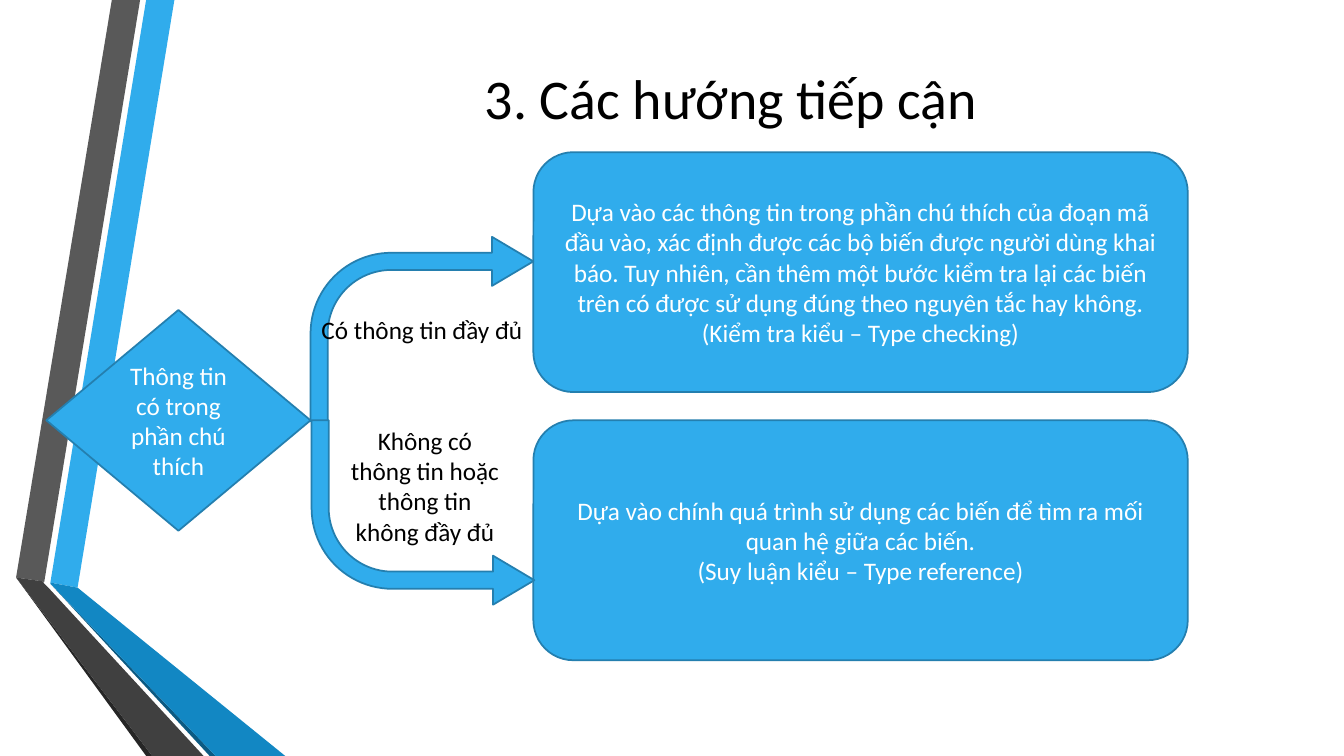
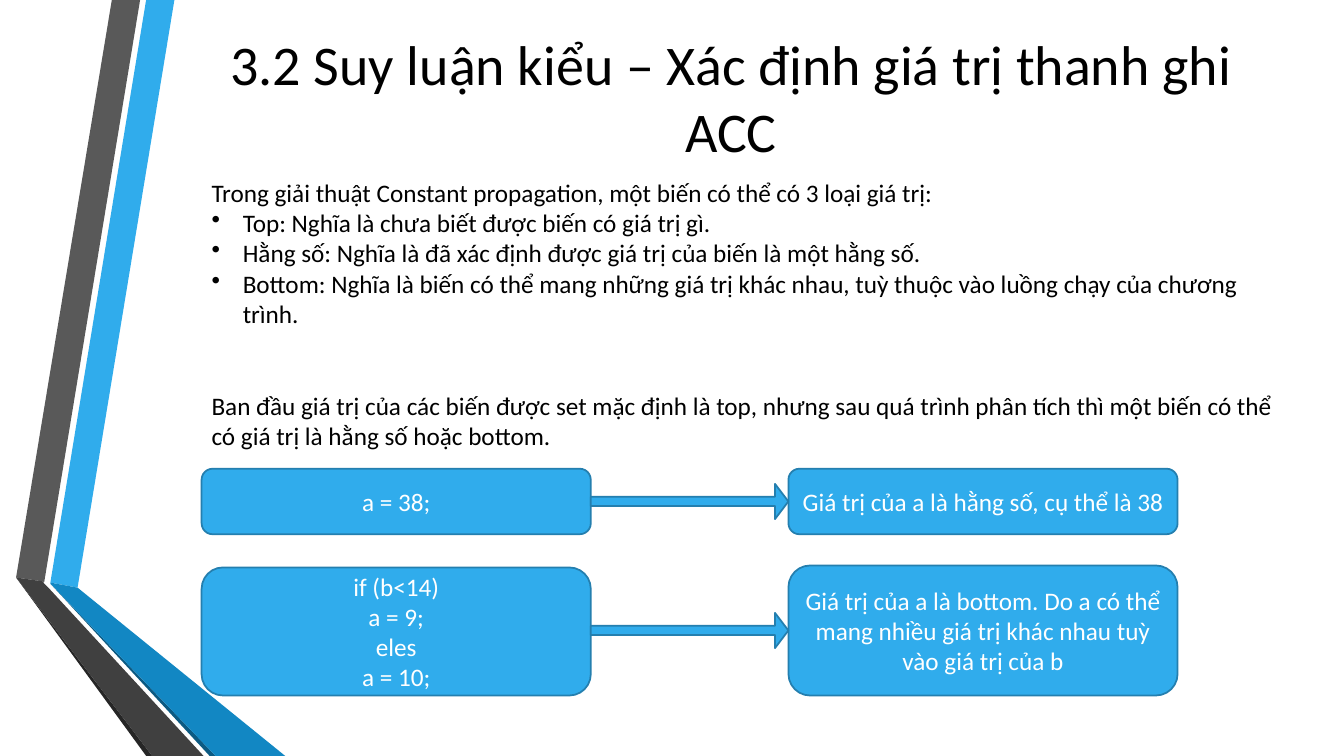
from pptx import Presentation
from pptx.dml.color import RGBColor
from pptx.enum import shapes, text
from pptx.oxml import ns, xmlchemy
from pptx.util import Inches, Pt

FONT = "Calibri"
BLUE, BLUE_EDGE, WHITE, BLACK = "30ACEC", "247FAF", "FFFFFF", "000000"
SHAPE = shapes.MSO_SHAPE
TITLE_BOX = (1.77, 0, 10.96, 1.92)
BENT_ARROW = (0.093, 0.133, 0.224, 0.438)
STRAIGHT_ARROW = (0.26, 0.38)
RIBBONS = [
    (BLUE, [(0.5, 5.78), (0.77, 5.83), (1.73, 0), (1.45, 0)]),
    ("595959", [(1.39, 0), (1.11, 0), (0.16, 5.73), (0.44, 5.77)]),
    ("262626", [(0.16, 5.73), (1.45, 7.5), (1.51, 7.5)]),
    ("0C5A82", [(0.5, 5.79), (2.08, 7.5), (2.14, 7.5)]),
    ("1287C3", [(0.5, 5.79), (2.14, 7.5), (2.83, 7.5), (0.77, 5.83), (0.5, 5.78)]),
    ("404040", [(2.02, 7.5), (0.48, 5.83), (0.43, 5.78), (0.44, 5.77), (0.16, 5.73), (1.51, 7.5)]),
]


def paint(color_format, value):
    """Set a colour from a hex string."""
    color_format.rgb = RGBColor.from_string(value)


def fill_shape(shape, color, edge=None):
    """Give a shape a plain fill, an optional outline and no shadow."""
    shape.shadow.inherit = False
    shape.fill.solid()
    paint(shape.fill.fore_color, color)
    if edge:
        paint(shape.line.color, edge)
        shape.line.width = Pt(1.25)
    else:
        shape.line.fill.background()


def write(shape, lines, color, size=18, align=text.PP_ALIGN.CENTER):
    """Write one paragraph per line in the deck's font."""
    frame = shape.text_frame
    frame.word_wrap = True
    frame.text = "\n".join(lines)
    for paragraph in frame.paragraphs:
        paragraph.alignment = align
        for run in paragraph.runs:
            run.font.name = FONT
            run.font.size = Pt(size)
            paint(run.font.color, color)
    return frame


def add_block(slide, kind, box, lines=(), color=WHITE, adjustments=()):
    """Add an outlined blue shape with centred text."""
    shape = slide.shapes.add_shape(kind, *map(Inches, box))
    fill_shape(shape, BLUE, BLUE_EDGE)
    for index, value in enumerate(adjustments):
        shape.adjustments[index] = value
    if lines:
        frame = write(shape, lines, color)
        frame.vertical_anchor = text.MSO_ANCHOR.MIDDLE
    return shape


def add_text(slide, box, lines, align):
    """Add a wrapping text box with black text."""
    shape = slide.shapes.add_textbox(*map(Inches, box))
    return write(shape, lines, BLACK, align=align)


def add_bullet(paragraph):
    """Turn a paragraph into a hanging bullet."""
    properties = paragraph._p.get_or_add_pPr()
    properties.set("marL", str(Inches(0.31)))
    properties.set("indent", str(-Inches(0.31)))
    bullet = xmlchemy.OxmlElement("a:buChar")
    bullet.set("char", "•")
    properties.append(bullet)


def add_ribbons(layout, slide):
    """Place the folded ribbons behind everything on the layout."""
    for index, (color, points) in enumerate(RIBBONS):
        corners = [(Inches(x), Inches(y)) for x, y in points]
        builder = slide.shapes.build_freeform(*corners[0])
        builder.add_line_segments(corners[1:], close=True)
        ribbon = builder.convert_to_shape()
        fill_shape(ribbon, color)
        layout.shapes.element.insert(2 + index, ribbon.element)


def add_titled_slide(presentation, layout, title_text):
    """Add a slide with the shared title style."""
    slide = presentation.slides.add_slide(layout)
    title = slide.shapes.title
    title.left, title.top, title.width, title.height = map(Inches, TITLE_BOX)
    frame = write(title, [title_text], BLACK, size=40)
    frame.auto_size = text.MSO_AUTO_SIZE.NONE
    frame.vertical_anchor = text.MSO_ANCHOR.MIDDLE
    return slide


def add_decision(slide, box, question, branches):
    """Draw a diamond whose two bent arrows lead to stacked outcomes."""
    left, top, width, height = box
    outcome_width, outcome_height = 6.49, 2.38
    diamond_width, diamond_height = 2.62, 2.19
    arrow_height = 1.83
    middle = top + 2.66
    arrow_left = left + diamond_width
    outcome_left = left + width - outcome_width
    arrow_width = outcome_left - arrow_left

    (upper_label, upper_outcome), (lower_label, lower_outcome) = branches
    for y, outcome in ((top, upper_outcome), (top + height - outcome_height, lower_outcome)):
        add_block(slide, SHAPE.ROUNDED_RECTANGLE,
                  (outcome_left, y, outcome_width, outcome_height), outcome)
    add_block(slide, SHAPE.DIAMOND,
              (left, middle - diamond_height / 2, diamond_width, diamond_height), question)
    add_block(slide, SHAPE.BENT_ARROW,
              (arrow_left, middle - arrow_height + 0.01, arrow_width, arrow_height),
              upper_label, BLACK, BENT_ARROW)
    down_arrow = add_block(slide, SHAPE.BENT_ARROW,
                           (arrow_left + 0.01, middle, arrow_width, arrow_height),
                           adjustments=BENT_ARROW)
    down_arrow.element.spPr.find(ns.qn("a:xfrm")).set("flipV", "1")
    add_text(slide, (arrow_left + 0.27, middle, 1.73, 1.62), lower_label,
             text.PP_ALIGN.CENTER)


def add_explanation(slide, box, intro, bullets, closing):
    """Write an intro, a bullet list and a spaced closing paragraph."""
    frame = add_text(slide, box, [intro, *bullets, closing], text.PP_ALIGN.LEFT)
    for paragraph in frame.paragraphs[1:-1]:
        add_bullet(paragraph)
    frame.paragraphs[-1].space_before = Pt(44)


def add_example(slide, box, code, result, code_inset=0):
    """Draw a code block with an arrow to the value it yields."""
    left, top, width, height = box
    block_width, arrow_height = 3.86, 0.35
    result_left = left + width - block_width
    arrow_left = left + block_width
    add_block(slide, SHAPE.ROUNDED_RECTANGLE,
              (left, top + code_inset, block_width, height - code_inset), code)
    add_block(slide, SHAPE.ROUNDED_RECTANGLE,
              (result_left, top, block_width, height), result)
    add_block(slide, SHAPE.RIGHT_ARROW,
              (arrow_left, top + (height - arrow_height) / 2,
               result_left - arrow_left, arrow_height),
              adjustments=STRAIGHT_ARROW)


def build_approaches(slide):
    """Fill the slide on the two approaches."""
    add_decision(
        slide, (0.46, 1.51, 11.32, 5.04),
        ["Thông tin có trong phần chú thích"],
        [
            (["Có thông tin đầy đủ"],
             ["Dựa vào các thông tin trong phần chú thích của đoạn mã đầu vào, "
              "xác định được các bộ biến được người dùng khai báo. Tuy nhiên, "
              "cần thêm một bước kiểm tra lại các biến trên có được sử dụng "
              "đúng theo nguyên tắc hay không. (Kiểm tra kiểu – Type checking)"]),
            (["Không có thông tin hoặc thông tin không đầy đủ"],
             ["Dựa vào chính quá trình sử dụng các biến để tìm ra mối quan hệ "
              "giữa các biến.",
              "(Suy luận kiểu – Type reference)"]),
        ])


def build_inference(slide):
    """Fill the slide on type inference."""
    add_explanation(
        slide, (2, 1.71, 10.94, 3.13),
        "Trong giải thuật Constant propagation, một biến có thể có 3 loại giá trị:",
        ["Top: Nghĩa là chưa biết được biến có giá trị gì.",
         "Hằng số: Nghĩa là đã xác định được giá trị của biến là một hằng số.",
         "Bottom: Nghĩa là biến có thể mang những giá trị khác nhau, "
         "tuỳ thuộc vào luồng chạy của chương trình."],
        "Ban đầu giá trị của các biến được set mặc định là top, nhưng sau quá "
        "trình phân tích thì một biến có thể có giá trị là hằng số hoặc bottom.")
    add_example(slide, (2, 4.65, 9.68, 0.65), ["a = 38;"],
                ["Giá trị của a là hằng số, cụ thể là 38"])
    add_example(slide, (2, 5.61, 9.68, 1.29),
                ["if (b<14)", "a = 9;", "eles", "a = 10;"],
                ["Giá trị của a là bottom. Do a có thể mang nhiều giá trị "
                 "khác nhau tuỳ vào giá trị của b"], code_inset=0.02)


def main():
    """Build and save the presentation."""
    presentation = Presentation()
    presentation.slide_width, presentation.slide_height = Inches(13.33), Inches(7.5)
    layout = presentation.slide_layouts.get_by_name("Title Only")
    approaches = add_titled_slide(presentation, layout, "3. Các hướng tiếp cận")
    add_ribbons(layout, approaches)
    build_approaches(approaches)
    inference = add_titled_slide(
        presentation, layout, "3.2 Suy luận kiểu – Xác định giá trị thanh ghi ACC")
    build_inference(inference)
    presentation.save("out.pptx")


if __name__ == "__main__":
    main()
